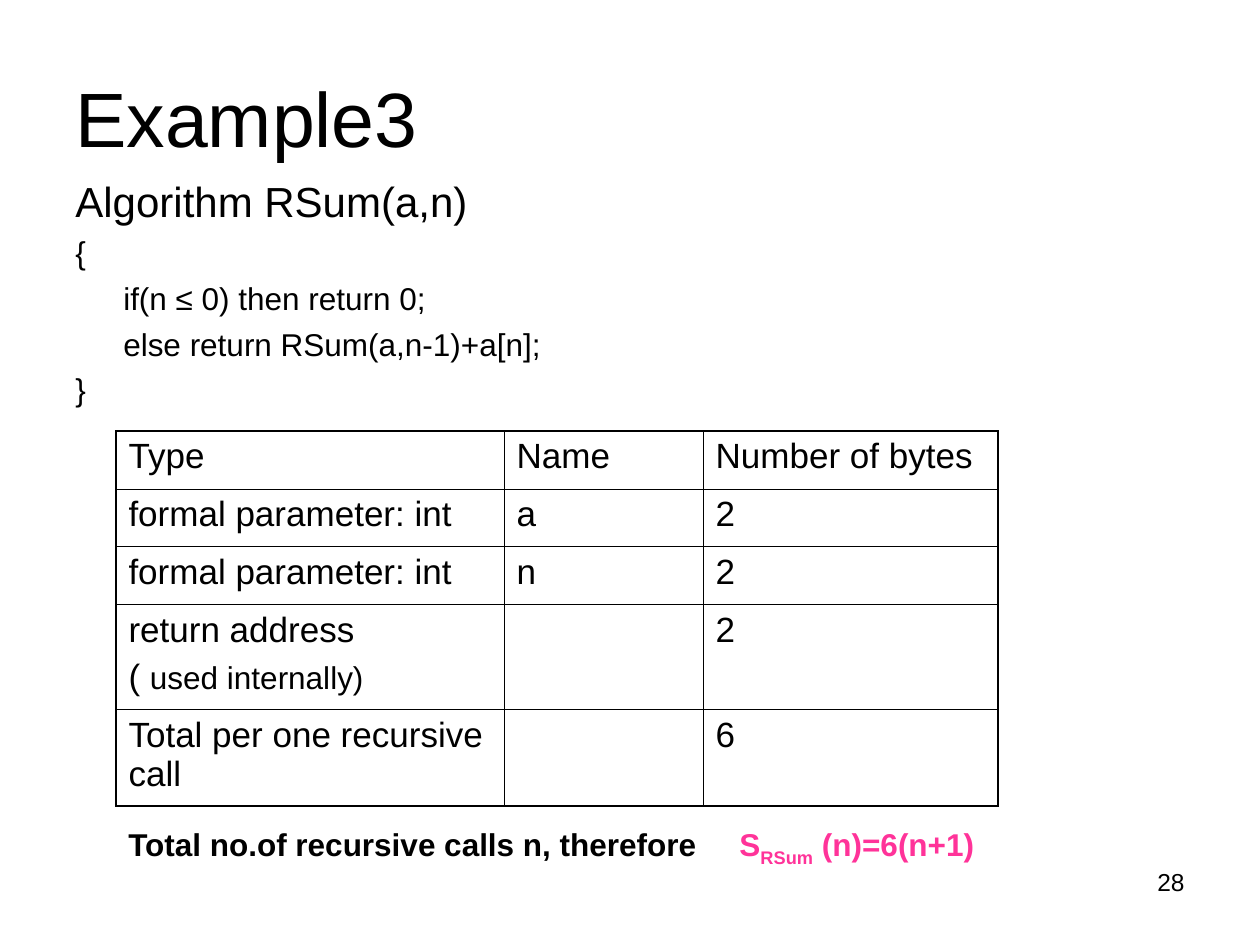
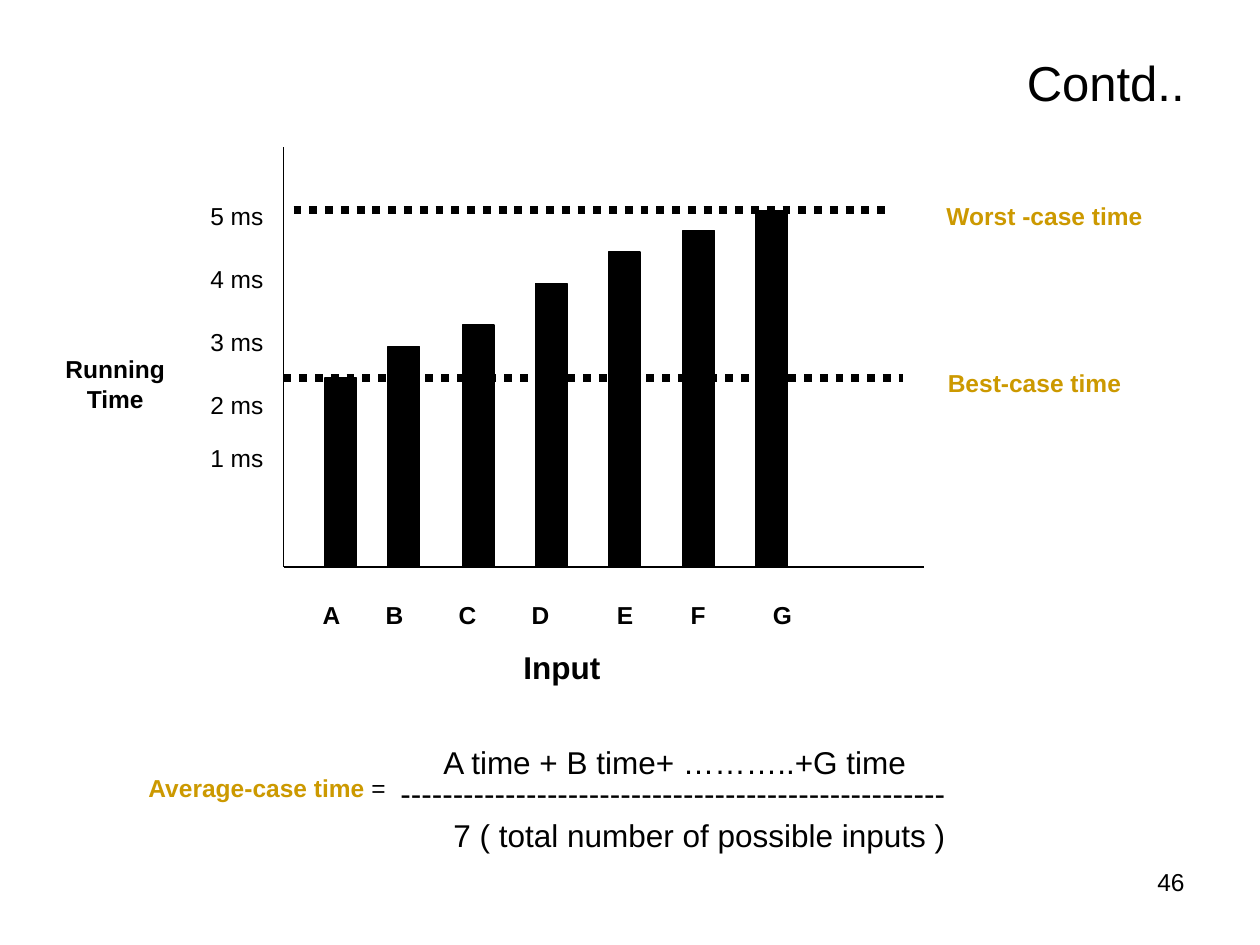
from lxml import etree
from pptx import Presentation
from pptx.dml.color import RGBColor
from pptx.enum.dml import MSO_LINE_DASH_STYLE as DASH
from pptx.enum.shapes import MSO_CONNECTOR_TYPE as CONNECTOR, MSO_SHAPE as SHAPE
from pptx.enum.text import MSO_ANCHOR as ANCHOR, PP_ALIGN as ALIGN
from pptx.oxml import parse_xml
from pptx.oxml.ns import nsdecls, qn
from pptx.util import Inches, Pt

COLORS = {"ink": "000000", "paper": "FFFFFF", "pink": "FF3399", "gold": "CC9900"}
FONT = "Arial"


def write_text(text_frame, lines, size, color="ink", bold=False, align=ALIGN.LEFT, space=0):
    """Write one paragraph per line, all in the same style."""
    text_frame.text = "\n".join(lines)
    for index, paragraph in enumerate(text_frame.paragraphs):
        paragraph.alignment = align
        paragraph.space_before = Pt(space if index else 0)
        for run in paragraph.runs:
            run.font.name = FONT
            run.font.size = Pt(size)
            run.font.bold = bold
            run.font.color.rgb = RGBColor.from_string(COLORS[color])


def add_box(slide, box, fill="paper", line_width=0.75):
    """Add a plain rectangle whose text runs on one line."""
    shape = slide.shapes.add_shape(SHAPE.RECTANGLE, *map(Inches, box))
    shape.shadow.inherit = False
    shape.fill.solid()
    shape.fill.fore_color.rgb = RGBColor.from_string(COLORS[fill])
    shape.line.color.rgb = RGBColor.from_string(COLORS[fill])
    shape.line.width = Pt(line_width)
    shape.text_frame.word_wrap = False
    shape.text_frame.vertical_anchor = ANCHOR.MIDDLE
    return shape.text_frame


presentation = Presentation()
presentation.slide_width = Inches(10)
presentation.slide_height = Inches(7.5)

# Titles
slides = []
for title, height, size, align in [
    ("Example3", 1.25, 44, ALIGN.LEFT),
    ("Contd..", 0.7, 28, ALIGN.RIGHT),
]:
    slide = presentation.slides.add_slide(presentation.slide_layouts[6])
    title_frame = slide.shapes.add_textbox(
        Inches(0.5), Inches(0.3), Inches(9), Inches(height)).text_frame
    title_frame.word_wrap = True
    title_frame.vertical_anchor = ANCHOR.MIDDLE
    write_text(title_frame, [title], size, align=align)
    slides.append(slide)
example_slide, cases_slide = slides

# Algorithm
code = example_slide.shapes.add_textbox(
    Inches(0.5), Inches(1.34), Inches(4.42), Inches(4.95)).text_frame
code.word_wrap = True
write_text(code, [
    "Algorithm RSum(a,n)",
    "{",
    "if(n ≤ 0) then return 0;",
    "else return RSum(a,n-1)+a[n];",
    "}",
], 18, space=4.5)
code.paragraphs[0].runs[0].font.size = Pt(24)
for paragraph in code.paragraphs[2:4]:
    paragraph._p.get_or_add_pPr().set("marL", str(Inches(0.38)))

# Table of bytes
byte_rows = [
    ("Type", "Name", "Number of bytes"),
    ("formal parameter: int", "a", "2"),
    ("formal parameter: int", "n", "2"),
    ("return address\n( ", "", "2"),
    ("Total per one recursive call", "", "6"),
]
column_widths = [3.08, 1.58, 2.34]
row_heights = [0.46, 0.46, 0.46, 0.83, 0.77]
last_row, last_column = len(row_heights) - 1, len(column_widths) - 1
table = example_slide.shapes.add_table(
    len(row_heights), len(column_widths), Inches(0.92), Inches(3.42),
    Inches(sum(column_widths)), Inches(sum(row_heights))).table
table.first_row = table.horz_banding = False
for column, width in zip(table.columns, column_widths):
    column.width = Inches(width)
for row, height in zip(table.rows, row_heights):
    row.height = Inches(height)

for row_index, texts in enumerate(byte_rows):
    for column_index, text in enumerate(texts):
        cell = table.cell(row_index, column_index)
        write_text(cell.text_frame, text.split("\n"), 20, space=4.5)
        outer_edges = {
            "lnL": column_index == 0,
            "lnR": column_index == last_column,
            "lnT": row_index == 0,
            "lnB": row_index == last_row,
        }
        for edge, is_outer in outer_edges.items():
            width = Pt(1.08 if is_outer else 0.45)
            cell._tc.get_or_add_tcPr().append(parse_xml(
                f'<a:{edge} {nsdecls("a")} w="{width}"><a:solidFill>'
                f'<a:srgbClr val="{COLORS["ink"]}"/></a:solidFill></a:{edge}>'))
        cell.fill.background()

note = table.cell(3, 0).text_frame.paragraphs[1].add_run()
note.text = "used internally)"
note.font.name = FONT
note.font.size = Pt(18)
note.font.color.rgb = RGBColor.from_string(COLORS["ink"])

# Total space, with the formula at a tab stop
total_frame = add_box(example_slide, (0.92, 6.5, 8.42, 0.75))
total_frame.vertical_anchor = ANCHOR.TOP
write_text(total_frame, ["Total no.of recursive calls n, therefore"], 18, bold=True)
total = total_frame.paragraphs[0]
tab_stops = etree.SubElement(total._p.get_or_add_pPr(), qn("a:tabLst"))
etree.SubElement(tab_stops, qn("a:tab"), pos=str(Inches(4.85)), algn="l")
for text, baseline in [("\tS", 0), ("RSum", -25000), (" (n)=6(n+1)", 0)]:
    run = total.add_run()
    run.text = text
    run.font.name = FONT
    run.font.size = Pt(18)
    run.font.bold = True
    run.font.color.rgb = RGBColor.from_string(COLORS["pink"])
    run._r.get_or_add_rPr().set("baseline", str(baseline))

# Panel behind the diagram
add_box(cases_slide, (0.58, 1.08, 8.5, 4.92), line_width=1)

# Bars
axis_left, axis_bottom = 2.25, 4.5
inputs = [
    ("A", 2.58, 1.5, 2.42),
    ("B", 3.08, 1.75, 2.92),
    ("C", 3.67, 1.92, 3.5),
    ("D", 4.25, 2.25, 4.08),
    ("E", 4.83, 2.5, 4.75),
    ("F", 5.42, 2.67, 5.33),
    ("G", 6, 2.83, 6),
]
for letter, bar_left, bar_height, letter_left in inputs:
    add_box(cases_slide, (bar_left, axis_bottom - bar_height, 0.25, bar_height), "ink")

# Axes, then the best and worst case lines
for start_x, start_y, end_x, end_y, width, dash in [
    (axis_left, 1.17, axis_left, axis_bottom, 0.75, None),
    (axis_left, axis_bottom, 7.33, axis_bottom, 0.75, None),
    (axis_left, 3, 7.17, 3, 4.5, DASH.ROUND_DOT),
    (2.33, 1.67, 7.08, 1.67, 4.5, DASH.ROUND_DOT),
]:
    line = cases_slide.shapes.add_connector(
        CONNECTOR.STRAIGHT, *map(Inches, (start_x, start_y, end_x, end_y)))
    line.line.color.rgb = RGBColor.from_string(COLORS["ink"])
    line.line.width = Pt(width)
    if dash:
        line.line.dash_style = dash
    etree.SubElement(line._element.spPr, qn("a:effectLst"))

# Scale
for milliseconds, top in zip((5, 4, 3, 2, 1), (1.5, 2, 2.5, 3, 3.42)):
    write_text(add_box(cases_slide, (1.67, top, 0.42, 0.42)), [f"{milliseconds} ms"], 14,
               align=ALIGN.CENTER)

# Names of the cases, the inputs and the axes
for box, lines, size, color in [
    ((7.42, 2.83, 1.58, 0.42), ["Best-case time"], 14, "gold"),
    ((7.5, 1.5, 1.58, 0.42), ["Worst -case time"], 14, "gold"),
    *(((left, 4.67, 0.42, 0.42), [letter], 14, "ink") for letter, _, _, left in inputs),
    ((3.08, 5.08, 2.83, 0.42), ["Input "], 18, "ink"),
    ((0.58, 1.92, 0.67, 2.25), ["Running", "Time"], 14, "ink"),
]:
    write_text(add_box(cases_slide, box), lines, size, color, bold=True, align=ALIGN.CENTER)

# Average-case formula
average_frame = add_box(cases_slide, (1.08, 5.92, 8, 0.67))
write_text(average_frame, ["Average-case time"], 14, "gold", bold=True)
equals = average_frame.paragraphs[0].add_run()
equals.text = " ="
equals.font.name = FONT
equals.font.size = Pt(14)
equals.font.color.rgb = RGBColor.from_string(COLORS["ink"])
for left, top, text in [
    (3.42, 5.92, "A time + B time+ ………..+G time"),
    (3.08, 6.17, "-" * 52),
    (3.5, 6.5, "7 ( total number of possible inputs )"),
]:
    write_text(add_box(cases_slide, (left, top, 5.33, 0.25)), [text], 18)

# Page numbers
for slide, number in zip(slides, ("28", "46")):
    number_frame = slide.shapes.add_textbox(
        Inches(7.17), Inches(6.83), Inches(2.33), Inches(0.52)).text_frame
    number_frame.word_wrap = True
    write_text(number_frame, [number], 14, align=ALIGN.RIGHT)

presentation.save("out.pptx")
